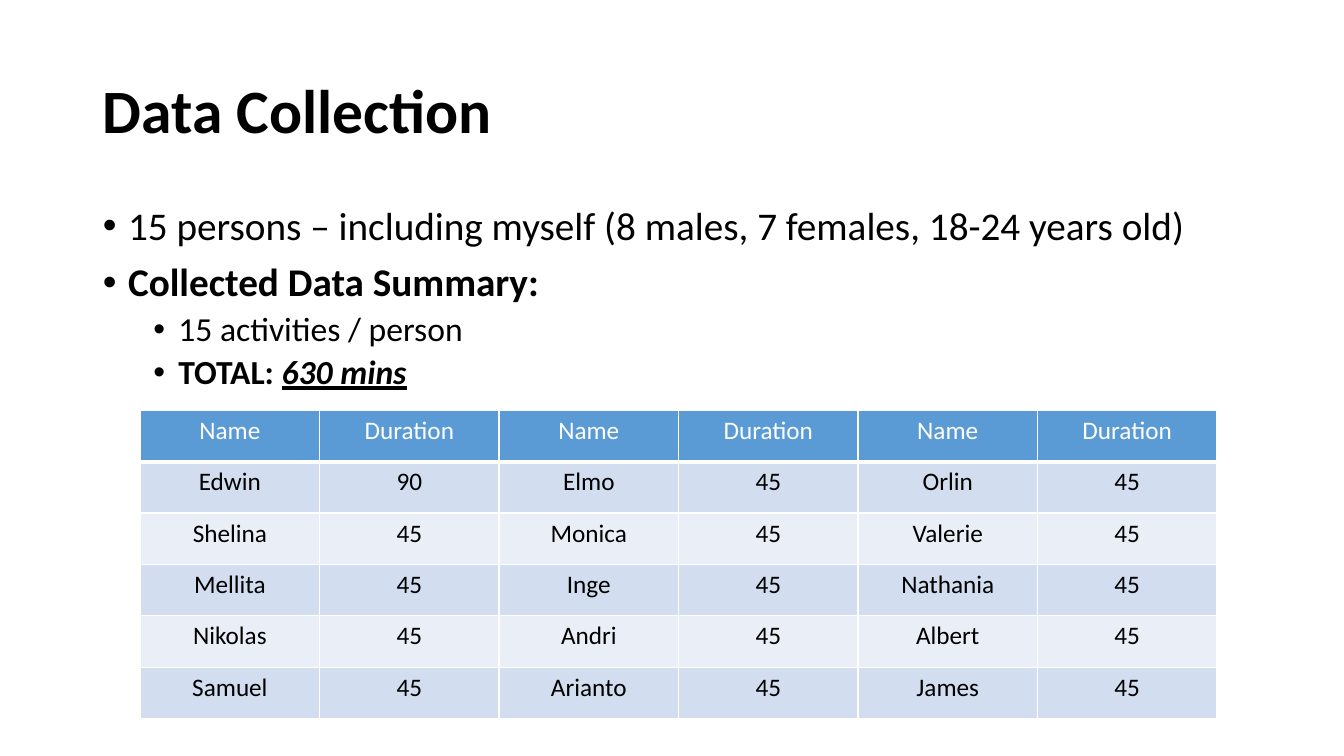
from lxml.etree import SubElement
from pptx import Presentation
from pptx.dml.color import RGBColor
from pptx.enum.text import MSO_ANCHOR as Anchor, MSO_AUTO_SIZE as AutoSize, PP_ALIGN as Align
from pptx.oxml.ns import qn
from pptx.util import Pt

PX = 9144  # 100 px to the inch
FONT = "Calibri"
COLORS = {
    "text": "000000",
    "white": "FFFFFF",
    "header": "5B9BD5",
    "band_dark": "D2DEEF",
    "band_light": "EAEFF7",
}

# Level, then runs of text and style
SUMMARY = [
    (0, [("15 persons – including myself (8 males, 7 females, 18-24 years old)", "")]),
    (0, [("Collected Data Summary:", "b")]),
    (1, [("15 activities / person", "")]),
    (1, [("TOTAL: ", "b"), ("630 mins", "biu")]),
]
# Size, left margin and space before for each level
LEVELS = [(28, 25, 10), (24, 75, 5)]
BULLET_INDENT = 25

DURATIONS = [
    ["Name", "Duration"] * 3,
    ["Edwin", "90", "Elmo", "45", "Orlin", "45"],
    ["Shelina", "45", "Monica", "45", "Valerie", "45"],
    ["Mellita", "45", "Inge", "45", "Nathania", "45"],
    ["Nikolas", "45", "Andri", "45", "Albert", "45"],
    ["Samuel", "45", "Arianto", "45", "James", "45"],
]


def color(name):
    return RGBColor.from_string(COLORS[name])


def place(shape, box):
    shape.left, shape.top, shape.width, shape.height = (value * PX for value in box)


def add_run(paragraph, text, size, color_name="text", style=""):
    run = paragraph.add_run()
    run.text = text
    font = run.font
    font.name, font.size = FONT, Pt(size)
    font.color.rgb = color(color_name)
    font.bold, font.italic, font.underline = (mark in style for mark in "biu")


def add_bullet(paragraph, margin):
    properties = paragraph._p.get_or_add_pPr()
    properties.set("marL", str(margin * PX))
    properties.set("indent", str(-BULLET_INDENT * PX))
    SubElement(properties, qn("a:buFont"), typeface="Arial")
    SubElement(properties, qn("a:buChar"), char="•")


def set_borders(cell, bottom_width):
    properties = cell._tc.get_or_add_tcPr()
    for side, width in (("L", 1), ("R", 1), ("T", 1), ("B", bottom_width)):
        line = SubElement(properties, qn(f"a:ln{side}"), w=str(Pt(width)))
        fill = SubElement(line, qn("a:solidFill"))
        SubElement(fill, qn("a:srgbClr"), val=COLORS["white"])


def fill_title(title, box):
    place(title, box)
    frame = title.text_frame
    frame.auto_size = AutoSize.NONE
    frame.vertical_anchor = Anchor.MIDDLE
    paragraph = frame.paragraphs[0]
    paragraph.alignment = Align.LEFT
    paragraph.line_spacing = 0.9
    add_run(paragraph, "Data Collection", 44, style="b")


def fill_summary(body, box):
    place(body, box)
    frame = body.text_frame
    frame.auto_size = AutoSize.NONE
    for index, (level, runs) in enumerate(SUMMARY):
        paragraph = frame.add_paragraph() if index else frame.paragraphs[0]
        size, margin, space_before = LEVELS[level]
        paragraph.level = level
        paragraph.line_spacing = 0.9
        paragraph.space_before = Pt(space_before)
        paragraph.space_after = Pt(0)
        add_bullet(paragraph, margin)
        for text, style in runs:
            add_run(paragraph, text, size, style=style)


def add_duration_table(slide, box):
    left, top, width, height = (value * PX for value in box)
    table = slide.shapes.add_table(
        len(DURATIONS), len(DURATIONS[0]), left, top, width, height).table
    table.horz_banding = False
    for row, values in enumerate(DURATIONS):
        is_header = row == 0
        band = "band_dark" if row % 2 else "band_light"
        for column, text in enumerate(values):
            cell = table.cell(row, column)
            set_borders(cell, 3 if is_header else 1)
            cell.fill.solid()
            cell.fill.fore_color.rgb = color("header" if is_header else band)
            paragraph = cell.text_frame.paragraphs[0]
            paragraph.alignment = Align.CENTER
            add_run(paragraph, text, 18, "white" if is_header else "text")


def main():
    presentation = Presentation()
    presentation.slide_width, presentation.slide_height = 1333 * PX, 750 * PX
    slide = presentation.slides.add_slide(presentation.slide_layouts[1])
    slide.background.fill.solid()
    slide.background.fill.fore_color.rgb = color("white")

    # Title, summary list and table of durations
    fill_title(slide.shapes.title, (92, 40, 1150, 145))
    fill_summary(slide.placeholders[1], (92, 200, 1150, 550))
    add_duration_table(slide, (139, 407, 1068, 306))
    presentation.save("out.pptx")


if __name__ == "__main__":
    main()
